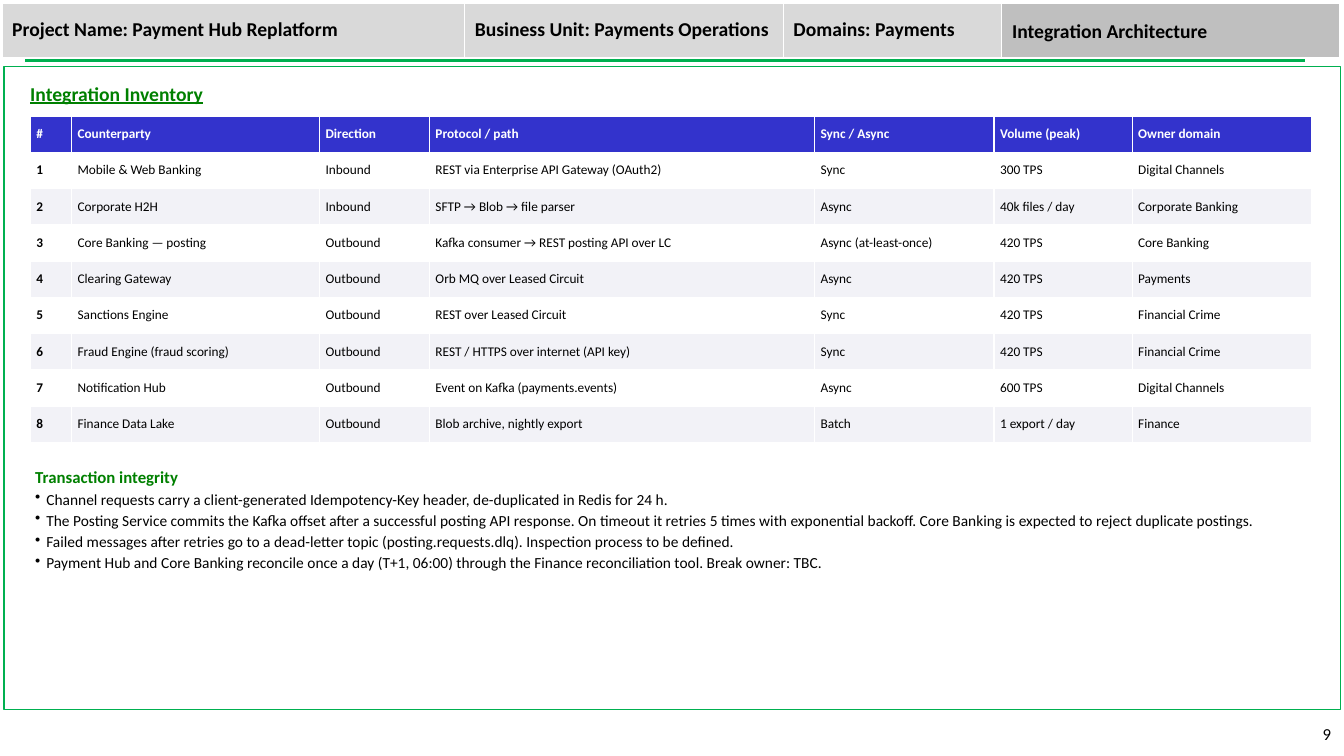
from lxml import etree
from pptx import Presentation
from pptx.dml.color import RGBColor
from pptx.enum.shapes import MSO_CONNECTOR, MSO_SHAPE
from pptx.enum.text import MSO_ANCHOR, MSO_AUTO_SIZE, PP_ALIGN
from pptx.oxml.ns import qn
from pptx.util import Inches, Pt

COLORS = {
    "black": "000000", "white": "FFFFFF", "heading": "008000", "frame": "00B050",
    "header": "3333CC", "band": "F2F2F7", "banner": "D9D9D9", "section": "BFBFBF",
}


def write(paragraph, text, size, color="black", bold=False, underline=None):
    run = paragraph.add_run()
    run.text = text
    run.font.name = "Calibri"
    run.font.size = Pt(size)
    run.font.bold = bold
    run.font.underline = underline
    run.font.color.rgb = RGBColor.from_string(COLORS[color])


def add_grid(left, top, widths, row_height, row_count):
    """Add an unbanded table with the given column widths."""
    grid = slide.shapes.add_table(row_count, len(widths), Inches(left), Inches(top),
                                  Inches(sum(widths)), Inches(row_height * row_count)).table
    grid.horz_banding = False
    for column, width in zip(grid.columns, widths):
        column.width = Inches(width)
    return grid


prs = Presentation()
prs.slide_width, prs.slide_height = Inches(13.33), Inches(7.5)
slide = prs.slides.add_slide(prs.slide_layouts[6])

# Banner
rule = slide.shapes.add_connector(MSO_CONNECTOR.STRAIGHT, Inches(0.25), Inches(0.6),
                                  Inches(12.94), Inches(0.6))
rule.line.color.rgb = RGBColor.from_string(COLORS["frame"])
rule.line.width = Pt(1.5)
etree.SubElement(rule._element.spPr, qn("a:effectLst"))

banner = add_grid(0.02, 0.03, [4.59, 3.16, 2.16, 3.36], 0.54, 1)
banner_texts = ["Project Name: Payment Hub Replatform",
                "Business Unit: Payments Operations", "Domains: Payments", ""]
for cell, text in zip(banner.rows[0].cells, banner_texts):
    cell.vertical_anchor = MSO_ANCHOR.MIDDLE
    cell.fill.solid()
    cell.fill.fore_color.rgb = RGBColor.from_string(COLORS["banner" if text else "section"])
    if text:
        write(cell.text_frame.paragraphs[0], text, 14, bold=True)

# Content frame
frame = slide.shapes.add_shape(MSO_SHAPE.RECTANGLE, Inches(0.04), Inches(0.66),
                               Inches(13.26), Inches(6.38))
frame.shadow.inherit = False
frame.fill.background()
frame.line.color.rgb = RGBColor.from_string(COLORS["frame"])
frame.line.width = Pt(0.75)

# Integration inventory
inventory_rows = [
    ["#", "Counterparty", "Direction", "Protocol / path", "Sync / Async", "Volume (peak)",
     "Owner domain"],
    ["1", "Mobile & Web Banking", "Inbound", "REST via Enterprise API Gateway (OAuth2)",
     "Sync", "300 TPS", "Digital Channels"],
    ["2", "Corporate H2H", "Inbound", "SFTP → Blob → file parser", "Async",
     "40k files / day", "Corporate Banking"],
    ["3", "Core Banking — posting", "Outbound", "Kafka consumer → REST posting API over LC",
     "Async (at-least-once)", "420 TPS", "Core Banking"],
    ["4", "Clearing Gateway", "Outbound", "Orb MQ over Leased Circuit", "Async", "420 TPS",
     "Payments"],
    ["5", "Sanctions Engine", "Outbound", "REST over Leased Circuit", "Sync", "420 TPS",
     "Financial Crime"],
    ["6", "Fraud Engine (fraud scoring)", "Outbound", "REST / HTTPS over internet (API key)",
     "Sync", "420 TPS", "Financial Crime"],
    ["7", "Notification Hub", "Outbound", "Event on Kafka (payments.events)", "Async",
     "600 TPS", "Digital Channels"],
    ["8", "Finance Data Lake", "Outbound", "Blob archive, nightly export", "Batch",
     "1 export / day", "Finance"],
]
inventory = add_grid(0.3, 1.15, [0.41, 2.46, 1.09, 3.82, 1.78, 1.37, 1.78], 0.36,
                     len(inventory_rows))
for row, texts in enumerate(inventory_rows):
    fill = "header" if row == 0 else "white" if row % 2 else "band"
    for column, text in enumerate(texts):
        cell = inventory.cell(row, column)
        cell.vertical_anchor = MSO_ANCHOR.MIDDLE
        cell.margin_left = cell.margin_right = Inches(0.06)
        cell.margin_top = cell.margin_bottom = Inches(0.03)
        cell.fill.solid()
        cell.fill.fore_color.rgb = RGBColor.from_string(COLORS[fill])
        write(cell.text_frame.paragraphs[0], text, 9.5, "black" if row else "white",
              bold=row == 0 or column == 0)

# Section name and page number
section = slide.shapes.add_textbox(Inches(9.94), Inches(0.14), Inches(3.3),
                                   Inches(0.34)).text_frame
section.word_wrap = True
section.auto_size = MSO_AUTO_SIZE.SHAPE_TO_FIT_TEXT
write(section.paragraphs[0], "Integration Architecture", 14, bold=True)

page = slide.shapes.add_textbox(Inches(10.19), Inches(7.08), Inches(3.11),
                                Inches(0.4)).text_frame
page.word_wrap = True
page.vertical_anchor = MSO_ANCHOR.MIDDLE
page.paragraphs[0].alignment = PP_ALIGN.RIGHT
write(page.paragraphs[0], "9", 12)

# Headed text blocks
integrity_points = [
    "Channel requests carry a client-generated Idempotency-Key header, de-duplicated in Redis "
    "for 24 h.",
    "The Posting Service commits the Kafka offset after a successful posting API response. "
    "On timeout it retries 5 times with exponential backoff. Core Banking is expected to "
    "reject duplicate postings.",
    "Failed messages after retries go to a dead-letter topic (posting.requests.dlq). "
    "Inspection process to be defined.",
    "Payment Hub and Core Banking reconcile once a day (T+1, 06:00) through the Finance "
    "reconciliation tool. Break owner: TBC.",
]
blocks = [
    ((0.25, 0.78, 8, 0.32), "Integration Inventory", 14, True, []),
    ((0.3, 4.6, 12.8, 2.3), "Transaction integrity", 12, None, integrity_points),
]
for place, heading, size, underline, points in blocks:
    block = slide.shapes.add_textbox(*map(Inches, place)).text_frame
    block.word_wrap = True
    block.auto_size = MSO_AUTO_SIZE.SHAPE_TO_FIT_TEXT
    block.margin_left = block.margin_right = Inches(0.05)
    block.margin_top = block.margin_bottom = Inches(0.03)
    block.paragraphs[0].space_after = Pt(2)
    write(block.paragraphs[0], heading, size, "heading", bold=True, underline=underline)
    for point in points:
        paragraph = block.add_paragraph()
        properties = paragraph._p.get_or_add_pPr()
        properties.set("marL", str(Inches(0.11)))
        properties.set("indent", str(-Inches(0.11)))
        etree.SubElement(properties, qn("a:buChar"), char="•")
        paragraph.space_after = Pt(2)
        write(paragraph, point, 11)

prs.save("out.pptx")
